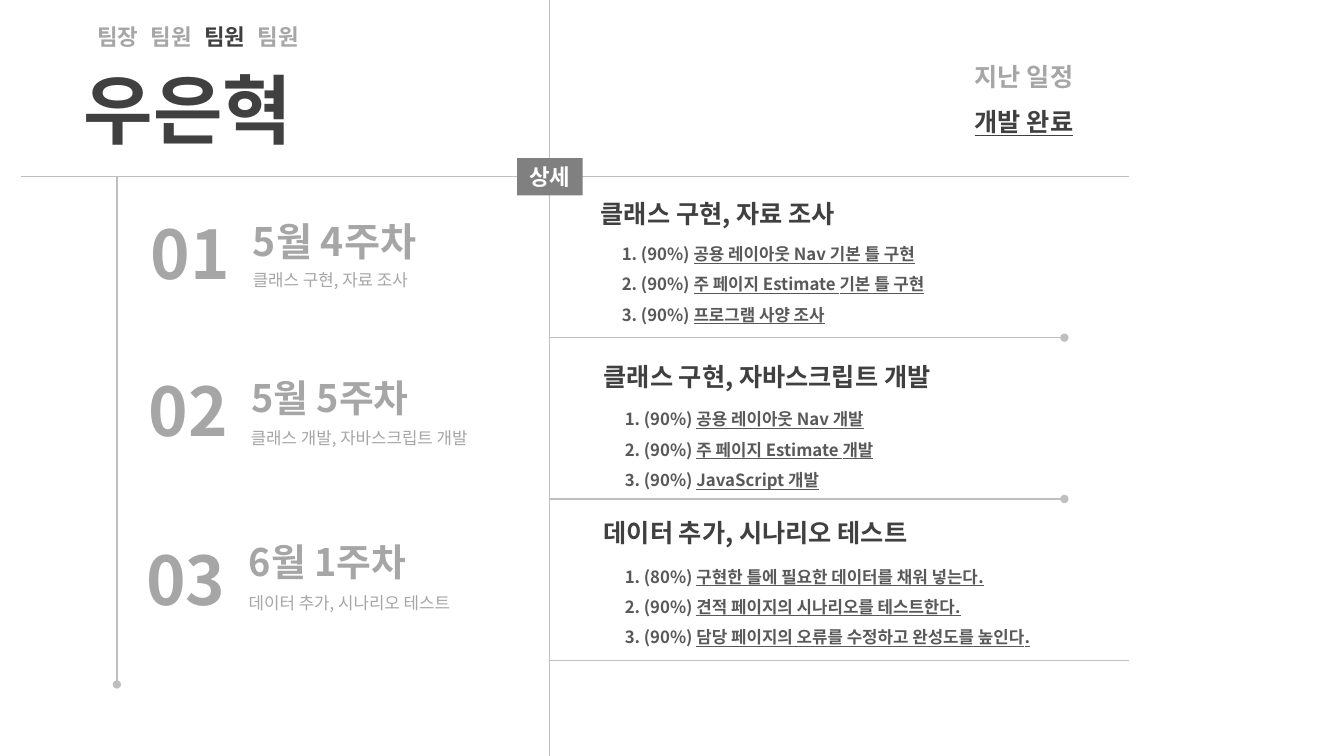
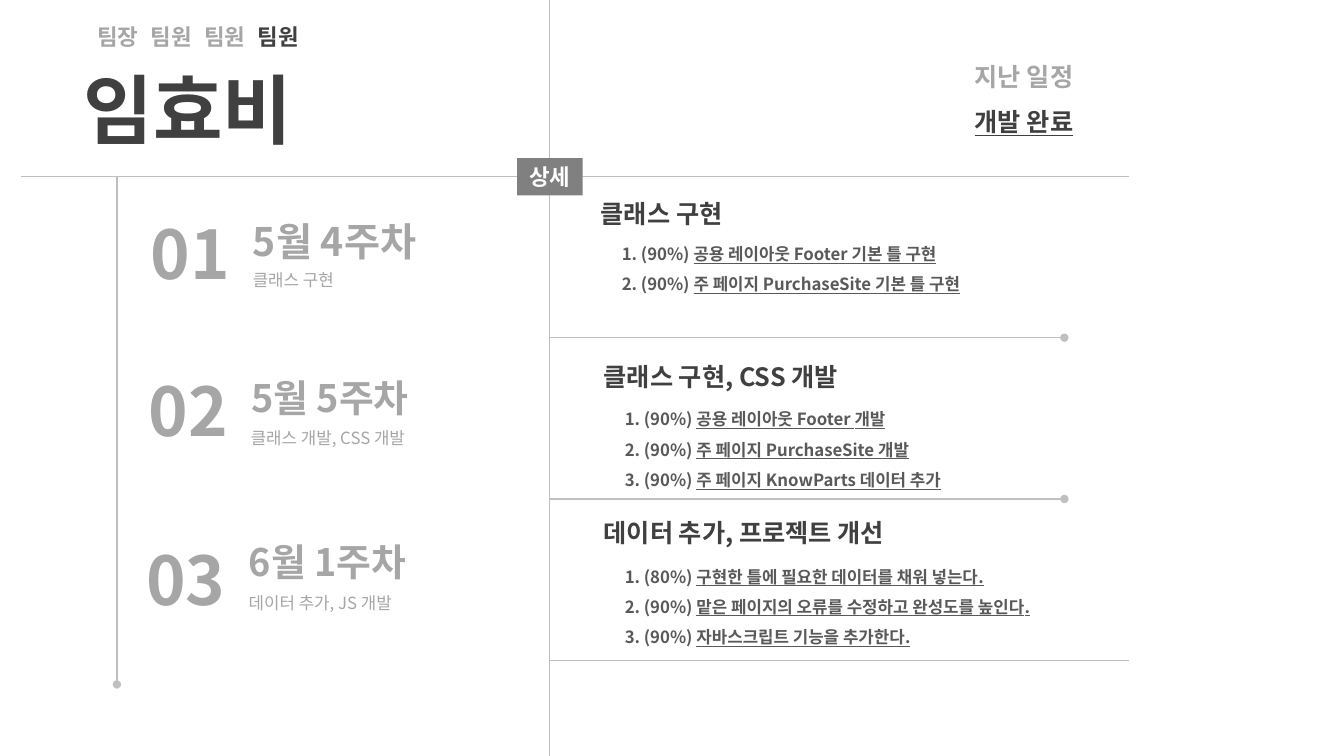
from lxml import etree
from pptx import Presentation
from pptx.dml.color import RGBColor
from pptx.enum.shapes import MSO_CONNECTOR as Link, MSO_SHAPE as Kind
from pptx.enum.text import MSO_ANCHOR as Anchor, MSO_AUTO_SIZE as Fit, PP_ALIGN as Align
from pptx.oxml.ns import qn
from pptx.util import Pt

FONT = "Noto Sans CJK KR"
DARK, BODY, PALE, RULE, BADGE, WHITE = "404040", "595959", "A6A6A6", "BFBFBF", "808080", "FFFFFF"
WIDE, THIN = 8.64, 7.2

ROLES = ["팀장", "팀원", "팀원", "팀원"]
STATUS = [("지난 일정", PALE, False), ("개발 완료", DARK, True)]
WEEKS = [
    ("01", "5월 4주차", 28, 97.9, 148.3, 151.9, 189.4),
    ("02", "5월 5주차", 27, 96.5, 260.6, 264.2, 301.7),
    ("03", "6월 1주차", 27, 95, 380.9, 381.6, 419.8),
]
SPOTS = [(420.5, 138.2, 163.4), (422.6, 254.2, 281.5), (422.6, 365.8, 393.8)]
LINES = [
    (15.1, 126, 806.4, 126, False),
    (392.4, 0, 392.4, 540, False),
    (83.5, 126, 83.5, 488.9, True),
    (393.1, 241.2, 760.3, 241.2, True),
    (393.1, 356.4, 760.3, 356.4, True),
    (393.1, 471.6, 806.4, 471.6, False),
]
MEMBERS = [
    {
        "name": "우은혁",
        "role": 2,
        "tasks": [
            ("클래스 구현, 자료 조사", "클래스 구현, 자료 조사", [
                (90, "공용 레이아웃 Nav 기본 틀 구현"),
                (90, "주 페이지 Estimate 기본 틀 구현"),
                (90, "프로그램 사양 조사"),
            ]),
            ("클래스 개발, 자바스크립트 개발", "클래스 구현, 자바스크립트 개발", [
                (90, "공용 레이아웃 Nav 개발"),
                (90, "주 페이지 Estimate 개발"),
                (90, "JavaScript 개발"),
            ]),
            ("데이터 추가, 시나리오 테스트", "데이터 추가, 시나리오 테스트", [
                (80, "구현한 틀에 필요한 데이터를 채워 넣는다."),
                (90, "견적 페이지의 시나리오를 테스트한다."),
                (90, "담당 페이지의 오류를 수정하고 완성도를 높인다."),
            ]),
        ],
    },
    {
        "name": "임효비",
        "role": 3,
        "tasks": [
            ("클래스 구현", "클래스 구현", [
                (90, "공용 레이아웃 Footer 기본 틀 구현"),
                (90, "주 페이지 PurchaseSite 기본 틀 구현"),
            ]),
            ("클래스 개발, CSS 개발", "클래스 구현, CSS 개발", [
                (90, "공용 레이아웃 Footer 개발"),
                (90, "주 페이지 PurchaseSite 개발"),
                (90, "주 페이지 KnowParts 데이터 추가"),
            ]),
            ("데이터 추가, JS 개발", "데이터 추가, 프로젝트 개선", [
                (80, "구현한 틀에 필요한 데이터를 채워 넣는다."),
                (90, "맡은 페이지의 오류를 수정하고 완성도를 높인다."),
                (90, "자바스크립트 기능을 추가한다."),
            ]),
        ],
    },
]


def tint(code):
    return RGBColor.from_string(code)


def style(run, size, color, bold=True, under=False, face=FONT):
    font = run.font
    font.name, font.size, font.bold = face, Pt(size), bold
    font.color.rgb = tint(color)
    if under:
        font.underline = True
    east = etree.SubElement(run._r.get_or_add_rPr(), qn("a:ea"))
    east.set("typeface", FONT)


def add_box(slide, left, top, width, height, inset=THIN, anchor=Anchor.TOP):
    box = slide.shapes.add_textbox(Pt(left), Pt(top), Pt(width), Pt(height))
    frame = box.text_frame
    frame.word_wrap = True
    frame.auto_size = Fit.SHAPE_TO_FIT_TEXT
    frame.vertical_anchor = anchor
    frame.margin_left = frame.margin_right = Pt(inset)
    frame.margin_top = frame.margin_bottom = Pt(3.6)
    return frame


def add_text(slide, area, text, size, color, bold=True, align=Align.LEFT, **opts):
    para = add_box(slide, *area, **opts).paragraphs[0]
    para.text = text
    para.alignment = align
    style(para.runs[0], size, color, bold)


def add_rows(frame, rows, size):
    for i, row in enumerate(rows):
        para = frame.add_paragraph() if i else frame.paragraphs[0]
        para.line_spacing = 1.5
        for text, color, under in row:
            run = para.add_run()
            run.text = text
            style(run, size, color, under=under)


def add_line(slide, x1, y1, x2, y2, dot):
    line = slide.shapes.add_connector(Link.STRAIGHT, Pt(x1), Pt(y1), Pt(x2), Pt(y2))
    line.line.color.rgb = tint(RULE)
    line.line.width = Pt(1)
    props = line._element.spPr
    if dot:
        etree.SubElement(props.find(qn("a:ln")), qn("a:tailEnd")).set("type", "oval")
    etree.SubElement(props, qn("a:effectLst"))


def add_badge(slide):
    badge = slide.shapes.add_shape(Kind.RECTANGLE, Pt(369.4), Pt(113), Pt(46.8), Pt(26.6))
    badge.shadow.inherit = False
    badge.fill.solid()
    badge.fill.fore_color.rgb = tint(BADGE)
    badge.line.fill.background()
    frame = badge.text_frame
    frame.text = "상세"
    frame.vertical_anchor = Anchor.MIDDLE
    frame.paragraphs[0].alignment = Align.CENTER
    style(frame.paragraphs[0].runs[0], 16, WHITE, face="Arial")


def add_roles(slide, active):
    para = add_box(slide, 62.4, 13, 180, 26.6, anchor=Anchor.MIDDLE).paragraphs[0]
    tabs = etree.SubElement(para._p.get_or_add_pPr(), qn("a:tabLst"))
    for i, role in enumerate(ROLES):
        if i:
            stop = etree.SubElement(tabs, qn("a:tab"))
            stop.set("pos", str(Pt(38.2 * i)))
            stop.set("algn", "l")
        run = para.add_run()
        run.text = "\t" + role if i else role
        style(run, 16, DARK if i == active else PALE)


def add_week(slide, week, note):
    num, date, size, left, high, mid, low = week
    add_text(slide, (left + 75.6, low, 355, 21.6), note, 12, PALE, bold=False)
    add_text(slide, (left + 74.2, mid, 355, 40.6), date, size, PALE, inset=WIDE)
    add_text(slide, (left, high, 75.6, 65.5), num, 48, PALE, align=Align.CENTER, inset=WIDE)


def add_task(slide, spot, head, items):
    left, top, low = spot
    add_text(slide, (left, top, 355, 28.8), head, 18, DARK, inset=WIDE)
    rows = [
        [(f"{i}. ({rate}%) ", BODY, False), (text, BODY, True)]
        for i, (rate, text) in enumerate(items, 1)
    ]
    add_rows(add_box(slide, left + 16.6, low, 410, 69.8), rows, 12)


def add_slide(deck, member):
    slide = deck.slides.add_slide(deck.slide_layouts[6])
    for line in LINES:
        add_line(slide, *line)
    add_badge(slide)
    add_roles(slide, member["role"])
    add_text(slide, (52.6, 41, 208, 72.7), member["name"], 54, DARK, anchor=Anchor.MIDDLE)
    add_rows(add_box(slide, 687.6, 29.5, 101.5, 68.4, WIDE), [[row] for row in STATUS], 18)
    for week, spot, (note, head, items) in zip(WEEKS, SPOTS, member["tasks"]):
        add_week(slide, week, note)
        add_task(slide, spot, head, items)


def main():
    deck = Presentation()
    deck.slide_width, deck.slide_height = Pt(960), Pt(540)
    for member in MEMBERS:
        add_slide(deck, member)
    deck.save("out.pptx")


if __name__ == "__main__":
    main()
